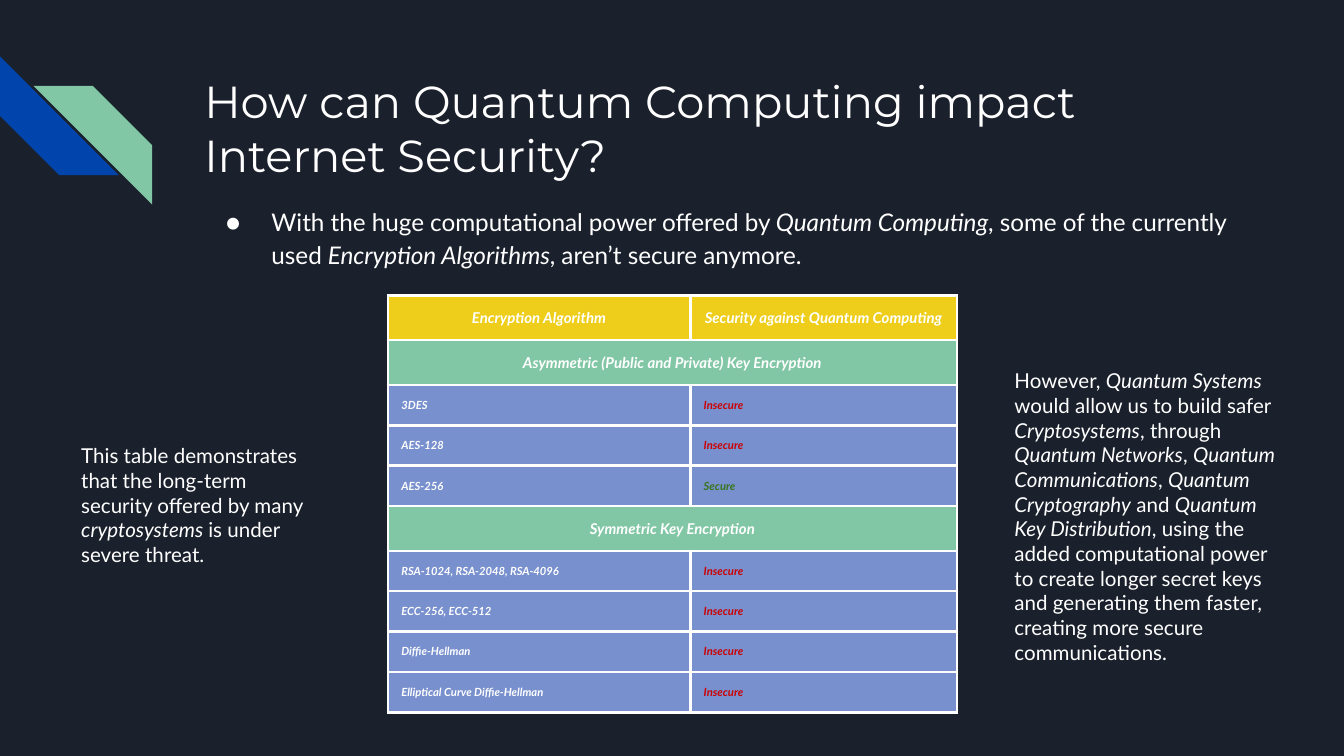
from lxml import etree
from pptx import Presentation
from pptx import util as u
from pptx.dml.color import RGBColor
from pptx.enum import shapes, text
from pptx.oxml import parse_xml
from pptx.oxml.ns import nsdecls, qn

Pt = u.Pt
COLORS = {
    "night": "1B212C", "white": "FFFFFF", "blue": "0145AC", "green": "82C7A5",
    "yellow": "EECE1A", "periwinkle": "7890CD", "red": "CC0000", "moss": "38761D",
}
HEADINGS = ("Encryption Algorithm", "Security against Quantum Computing")
SECTIONS = {
    "Asymmetric (Public and Private) Key Encryption": [
        ("3DES", "Insecure"), ("AES-128", "Insecure"), ("AES-256", "Secure")],
    "Symmetric Key Encryption": [
        ("RSA-1024, RSA-2048, RSA-4096", "Insecure"), ("ECC-256, ECC-512", "Insecure"),
        ("Diffie-Hellman", "Insecure"), ("Elliptical Curve Diffie-Hellman", "Insecure")],
}
VERDICT_COLORS = {"Insecure": "red", "Secure": "moss"}
INSET = 7.2


def rgb(name):
    return RGBColor.from_string(COLORS[name])


def fill_with(item, name):
    item.fill.solid()
    item.fill.fore_color.rgb = rgb(name)


def write(para, words, color="white", **font):
    """Fill a paragraph; words between asterisks are italic."""
    for index, part in enumerate(words.split("*")):
        span = para.add_run()
        span.text = part
        span.font.color.rgb = rgb(color)
        for key, value in {"name": "Lato", "italic": index % 2 == 1, **font}.items():
            setattr(span.font, key, value)


def add_text(page, box, words, anchor=text.MSO_ANCHOR.TOP, **font):
    frame = page.shapes.add_textbox(*map(Pt, box)).text_frame
    settings = {"word_wrap": True, "vertical_anchor": anchor}
    settings.update({f"margin_{side}": Pt(INSET) for side in ("left", "right", "top", "bottom")})
    for key, value in settings.items():
        setattr(frame, key, value)
    write(frame.paragraphs[0], words, **font)
    return frame.paragraphs[0]


def add_stripes(page, box):
    """Two diagonal stripes in opposite corners of the box."""
    left, top, width, height = box
    side = 63.6
    corners = {"blue": (left, top),
               "green": (left + width - side, top + height - side)}
    for color, corner in corners.items():
        stripe = page.shapes.add_shape(
            shapes.MSO_SHAPE.DIAGONAL_STRIPE, *map(Pt, (*corner, side, side)))
        stripe.adjustments[0] = 0.5
        stripe.shadow.inherit = False
        fill_with(stripe, color)
        stripe.line.fill.background()
        if color == "blue":
            stripe.rotation = 270
        else:
            stripe._element.spPr.find(qn("a:xfrm")).set("flipH", "1")


def add_bullet(page, box, words):
    para = add_text(page, box, words, size=Pt(13))
    para.line_spacing = 1.15
    props = para._p.get_or_add_pPr()
    props.set("marL", str(Pt(36)))
    props.set("indent", str(Pt(-24.5)))
    color = etree.SubElement(props, qn("a:buClr"))
    etree.SubElement(color, qn("a:srgbClr")).set("val", COLORS["white"])
    etree.SubElement(props, qn("a:buFont")).set("typeface", "Lato")
    etree.SubElement(props, qn("a:buChar")).set("char", "●")


def style_cell(cell, fill):
    props = cell._tc.get_or_add_tcPr()
    for side in "LRTB":
        props.append(parse_xml(
            f'<a:ln{side} {nsdecls("a")} w="{Pt(1.5)}"><a:solidFill>'
            f'<a:srgbClr val="{COLORS["white"]}"/></a:solidFill></a:ln{side}>'))
    fill_with(cell, fill)
    for side in ("left", "right", "top", "bottom"):
        setattr(cell, f"margin_{side}", Pt(INSET))


def add_security_table(page, box):
    # Each row: texts, fill, text size, row height
    rows = [(HEADINGS, "yellow", 8, 24)]
    for section, algorithms in SECTIONS.items():
        rows.append(((section, ""), "green", 8, 24))
        rows += [(entry, "periwinkle", 6, 21.6) for entry in algorithms]

    table = page.shapes.add_table(len(rows), 2, *map(Pt, box)).table
    for column, width in zip(table.columns, (162, box[2] - 162)):
        column.width = Pt(width)
    for row, (words, fill, size, height) in enumerate(rows):
        table.rows[row].height = Pt(height)
        for column, label in enumerate(words):
            cell = table.cell(row, column)
            style_cell(cell, fill)
            para = cell.text_frame.paragraphs[0]
            if fill != "periwinkle":
                para.alignment = text.PP_ALIGN.CENTER
            if label:
                write(para, label, VERDICT_COLORS.get(label, "white"),
                      size=Pt(size), bold=True, italic=True)
        if not words[1]:
            table.cell(row, 0).merge(table.cell(row, 1))


def main():
    deck = Presentation()
    deck.slide_width, deck.slide_height = Pt(720), Pt(405)
    page = deck.slides.add_slide(deck.slide_layouts[6])
    fill_with(page.background, "night")

    # Heading
    add_stripes(page, (0, 30.2, 81.6, 79.5))
    add_text(page, (102.4, 31, 554.4, 75),
             "How can Quantum Computing impact Internet Security?",
             text.MSO_ANCHOR.MIDDLE, size=Pt(24), name="Montserrat")
    add_bullet(page, (102.4, 101.5, 570, 45.4),
               "With the huge computational power offered by *Quantum Computing*, some of "
               "the currently used *Encryption Algorithms*, aren’t secure anymore.")

    # Table with a comment on either side
    add_security_table(page, (207.8, 158.2, 305, 223.2))
    add_text(page, (36.4, 230.4, 134, 81.4),
             "This table demonstrates that the long-term security offered by many "
             "*cryptosystems *is under severe threat.", size=Pt(11))
    add_text(page, (536.4, 190.1, 161.3, 162),
             "However, *Quantum Systems* would allow us to build safer *Cryptosystems*, "
             "through *Quantum Networks*, *Quantum Communications*, *Quantum Cryptography* "
             "and *Quantum Key Distribution*, using the added computational power to create "
             "longer secret keys and generating them faster, creating more secure "
             "communications.", size=Pt(11))
    deck.save("out.pptx")


if __name__ == "__main__":
    main()
